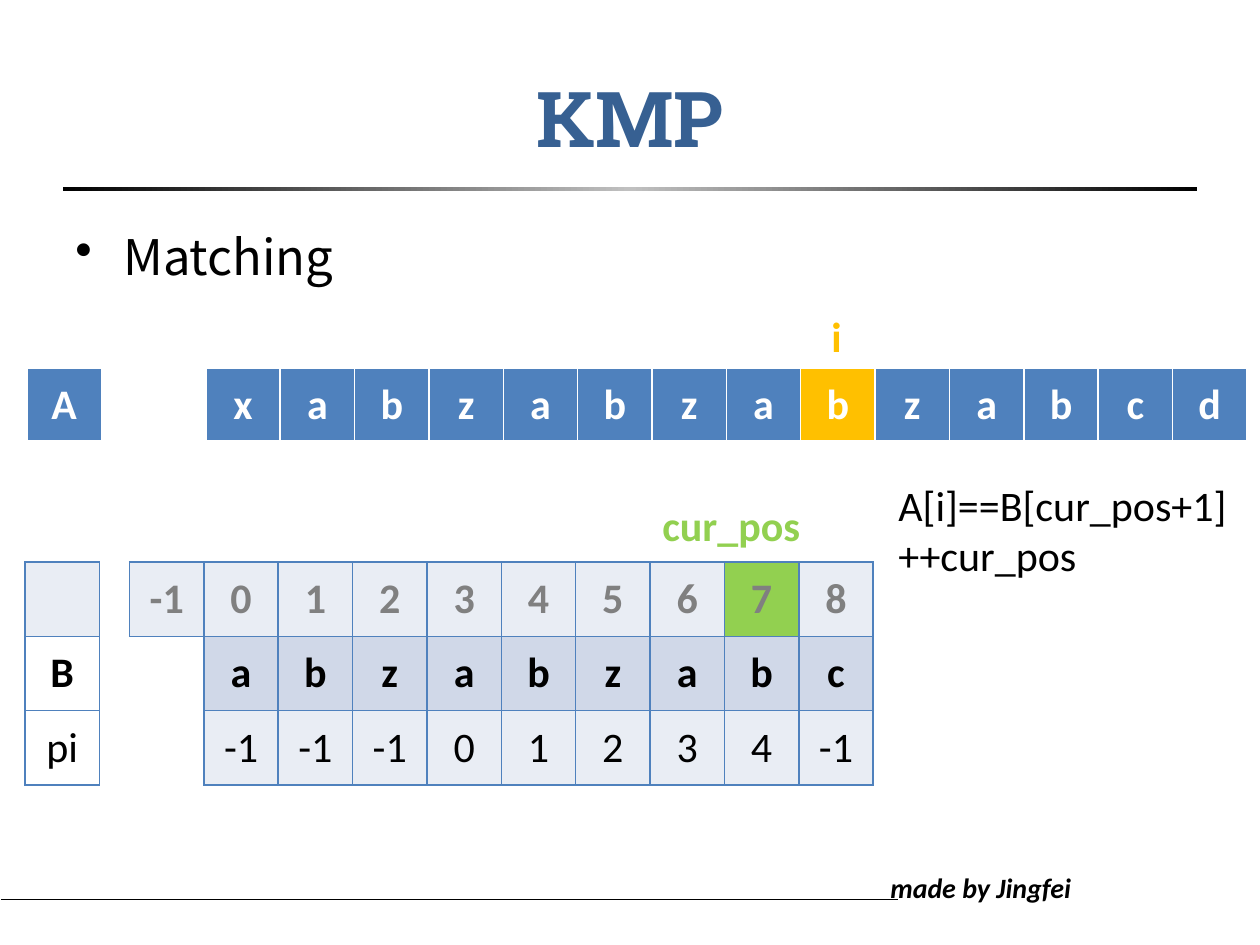
import pptx
import pptx.util
import pptx.dml.color
import pptx.enum.shapes
import pptx.enum.text
import pptx.oxml
import pptx.oxml.ns
import lxml.etree

SCALE = 914400 / 126
COLORS = {
    "black": "000000", "white": "FFFFFF", "silver": "C0C0C0", "title": "376092",
    "blue": "4F81BD", "orange": "FFC000", "green": "92D050", "gray": "808080",
    "light": "E9EDF4", "band": "D0D8E8",
}
NO_STYLE = "{2D5ABB26-0587-4C30-8999-92F81FD0307C}"
GAP = 29

LABELS = [
    {"lines": ["made by Jingfei"], "box": (878, 864, 210, 47), "size": 16, "bold": True, "italic": True},
    {"lines": ["A[i]==B[cur_pos+1]", "++cur_pos"], "box": (886, 473, 364, 115)},
    {"lines": ["i"], "box": (819, 304, 37, 63), "color": "orange", "bold": True},
    {"lines": ["cur_pos"], "box": (650, 493, 180, 63), "color": "green", "bold": True},
]
TEXT_ROW = {
    "cells": ["A", None, None, *"xabzabzabzabcd"],
    "fill": "blue", "color": "white", "bold": True, "special": {11: "orange"},
}
PATTERN_ROWS = [
    {"cells": ["", None, "-1", *"012345678"],
     "fill": "light", "color": "gray", "bold": True, "special": {10: "green"}},
    {"cells": ["B", None, None, *"abzabzabc"],
     "fill": "band", "color": "black", "bold": True, "special": {0: "white"}},
    {"cells": ["pi", None, None, "-1", "-1", "-1", "0", "1", "2", "3", "4", "-1"],
     "fill": "light", "color": "black", "bold": False, "special": {0: "white"}},
]
TABLES = [
    {"box": (27, 368, 1219, 74), "rows": [TEXT_ROW], "border": "white",
     "widths": {"lnL": 1, "lnR": 1, "lnT": 1, "lnB": 3}},
    {"box": (25, 562, 847, 223), "rows": PATTERN_ROWS, "border": "blue",
     "widths": {"lnL": 1, "lnR": 1, "lnT": 1, "lnB": 1}},
]


def px(value):
    return pptx.util.Emu(round(value * SCALE))


def rgb(name):
    return pptx.dml.color.RGBColor.from_string(COLORS[name])


def format_font(font, color="black", size=24, **values):
    font.color.rgb = rgb(color)
    settings = {"name": "Calibri", "size": pptx.util.Pt(size), **values}
    for name, value in settings.items():
        setattr(font, name, value)


def add_text(slide, box, lines, **font_values):
    shape = slide.shapes.add_textbox(*map(px, box))
    frame = shape.text_frame
    frame.text = "\n".join(lines)
    for paragraph in frame.paragraphs:
        format_font(paragraph.font, **font_values)
    return frame


def add_body(slide):
    frame = add_text(slide, (63, 220, 1197, 688), ["Matching"], size=28, name="Noto Sans CJK SC")
    frame.word_wrap = True
    properties = frame.paragraphs[0]._p.get_or_add_pPr()
    properties.set("marL", str(px(48)))
    properties.set("indent", str(px(-48)))
    bullet = lxml.etree.Element(pptx.oxml.ns.qn("a:buChar"), char="•")
    properties.insert(0, bullet)


def add_rules(slide):
    line = slide.shapes.add_connector(
        pptx.enum.shapes.MSO_CONNECTOR.STRAIGHT, px(1), px(899), px(898), px(899))
    line.line.color.rgb = rgb("black")
    line.line.width = pptx.util.Pt(0.5)
    lxml.etree.SubElement(line._element.spPr, pptx.oxml.ns.qn("a:effectLst"))
    bar = slide.shapes.add_shape(
        pptx.enum.shapes.MSO_SHAPE.RECTANGLE, px(63), px(187), px(1134), px(4))
    bar.shadow.inherit = False
    bar.line.fill.background()
    bar.fill.gradient()
    bar.fill.gradient_angle = 0
    stops = bar._element.spPr.find(".//" + pptx.oxml.ns.qn("a:gsLst"))
    for stop in list(stops):
        stops.remove(stop)
    for position, color in ((0, "black"), (50, "silver"), (100, "black")):
        stop = lxml.etree.SubElement(stops, pptx.oxml.ns.qn("a:gs"), pos=str(position * 1000))
        lxml.etree.SubElement(stop, pptx.oxml.ns.qn("a:srgbClr"), val=COLORS[color])


def add_border(cell, color, widths):
    properties = cell._tc.get_or_add_tcPr()
    for side, width in widths.items():
        line = lxml.etree.SubElement(
            properties, pptx.oxml.ns.qn("a:" + side), w=str(pptx.util.Pt(width)))
        fill = lxml.etree.SubElement(line, pptx.oxml.ns.qn("a:solidFill"))
        lxml.etree.SubElement(fill, pptx.oxml.ns.qn("a:srgbClr"), val=COLORS[color])


def add_grid(slide, box, rows, border, widths):
    count = len(rows[0]["cells"])
    table = slide.shapes.add_table(len(rows), count, *map(px, box)).table
    table.first_row = table.horz_banding = False
    table._tbl.tblPr.find(pptx.oxml.ns.qn("a:tableStyleId")).text = NO_STYLE
    for index, column in enumerate(table.columns):
        column.width = px(GAP if index == 1 else (box[2] - GAP) / (count - 1))
    for row_index, row in enumerate(rows):
        for index, text in enumerate(row["cells"]):
            cell = table.cell(row_index, index)
            if text is None:
                cell.fill.background()
                continue
            add_border(cell, border, widths)
            cell.fill.solid()
            cell.fill.fore_color.rgb = rgb(row["special"].get(index, row["fill"]))
            cell.vertical_anchor = pptx.enum.text.MSO_ANCHOR.MIDDLE
            cell.text = text
            paragraph = cell.text_frame.paragraphs[0]
            paragraph.alignment = pptx.enum.text.PP_ALIGN.CENTER
            format_font(paragraph.font, color=row["color"], bold=row["bold"])


def main():
    presentation = pptx.Presentation()
    presentation.slide_width, presentation.slide_height = px(1260), px(945)
    slide = presentation.slides.add_slide(presentation.slide_layouts[5])
    title = slide.shapes.title
    title.left, title.top, title.width, title.height = map(px, (63, 38, 1134, 157))
    title.text_frame.text = "KMP"
    title.text_frame.vertical_anchor = pptx.enum.text.MSO_ANCHOR.MIDDLE
    paragraph = title.text_frame.paragraphs[0]
    paragraph.alignment = pptx.enum.text.PP_ALIGN.CENTER
    format_font(paragraph.font, color="title", size=44, name="Roboto Slab", bold=True)
    add_rules(slide)
    add_body(slide)
    for table in TABLES:
        add_grid(slide, **table)
    for label in LABELS:
        add_text(slide, **label)
    presentation.save("out.pptx")


if __name__ == "__main__":
    main()
